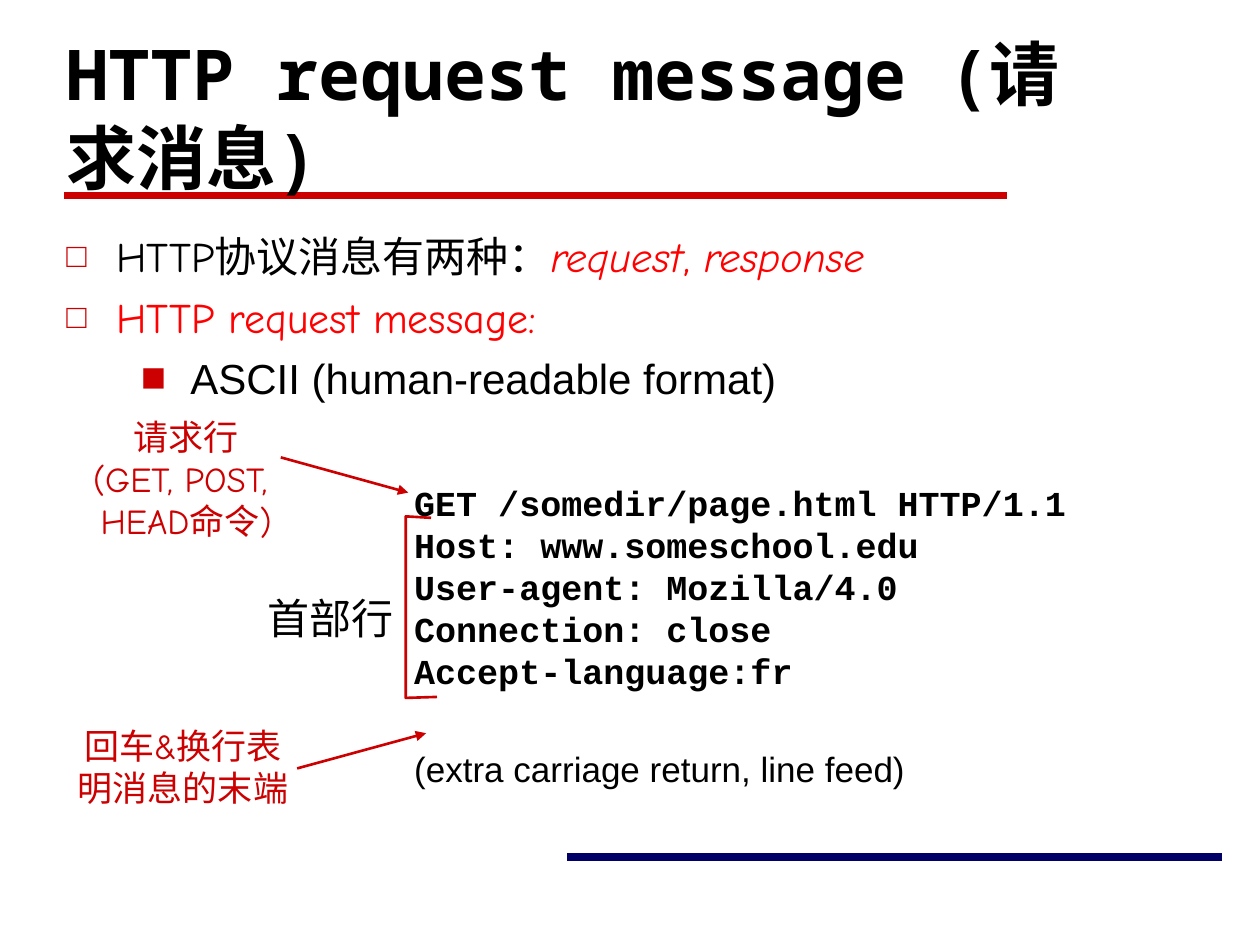
from dataclasses import dataclass, field

from lxml import etree
from pptx import Presentation
from pptx.dml.color import RGBColor
from pptx.enum.shapes import MSO_CONNECTOR
from pptx.enum.text import MSO_ANCHOR, MSO_AUTO_SIZE, PP_ALIGN
from pptx.oxml.ns import qn
from pptx.util import Cm, Pt

LINE = MSO_CONNECTOR.STRAIGHT
MID, TOP = MSO_ANCHOR.MIDDLE, MSO_ANCHOR.TOP
GROW, FIXED = MSO_AUTO_SIZE.SHAPE_TO_FIT_TEXT, MSO_AUTO_SIZE.NONE
LEFT, MIDST, RIGHT = PP_ALIGN.LEFT, PP_ALIGN.CENTER, PP_ALIGN.RIGHT
RED, NAVY, BLACK, BRIGHT = "CC0000", "000066", "000000", "FF0000"
COMIC, ARIAL, TIMES = "Comic Neue", "Arial", "Times New Roman"
LEAD = 1.2


@dataclass
class Run:
    text: str
    font: str = COMIC
    size: int = 20
    color: str = BLACK
    look: dict = field(default_factory=dict)


@dataclass
class Para:
    runs: list[Run]
    align: int = LEFT
    before: float = 0
    mark: str = ""
    scale: int = 100
    level: int = 0
    indent: float = 0


@dataclass
class Box:
    place: tuple[float, float, float, float]
    paras: list[Para]
    wrap: bool = True
    fit: int = GROW
    anchor: int = TOP


@dataclass
class Stroke:
    start: tuple[float, float]
    end: tuple[float, float]
    color: str = RED
    width: float = 1.5
    arrow: bool = False


def paint(color: str) -> RGBColor:
    return RGBColor.from_string(color)


def apply(target, values: dict) -> None:
    for name, value in values.items():
        setattr(target, name, value)


def add_mark(para, item: Para) -> None:
    props = para._p.get_or_add_pPr()
    props.set("marL", str(Cm(item.indent)))
    props.set("indent", str(-Cm(1)))
    tint = etree.SubElement(props, qn("a:buClr"))
    etree.SubElement(tint, qn("a:srgbClr"), val=RED)
    etree.SubElement(props, qn("a:buSzPct"), val=str(item.scale * 1000))
    etree.SubElement(props, qn("a:buFont"), typeface=ARIAL)
    etree.SubElement(props, qn("a:buChar"), char=item.mark)


def add_box(slide, box: Box) -> None:
    frame = slide.shapes.add_textbox(*map(Cm, box.place)).text_frame
    apply(frame, {"word_wrap": box.wrap, "auto_size": box.fit,
                  "vertical_anchor": box.anchor})
    for spot, item in enumerate(box.paras):
        para = frame.add_paragraph() if spot else frame.paragraphs[0]
        if item.mark:
            add_mark(para, item)
        apply(para, {"alignment": item.align, "level": item.level,
                     "space_before": Pt(item.before),
                     "line_spacing": Pt(LEAD * item.runs[0].size)})
        for part in item.runs:
            run = para.add_run()
            run.text = part.text
            apply(run.font, {"name": part.font, "size": Pt(part.size), **part.look})
            run.font.color.rgb = paint(part.color)


def add_stroke(slide, item: Stroke) -> None:
    line = slide.shapes.add_connector(LINE, *map(Cm, item.start + item.end))
    line.line.width = Pt(item.width)
    line.line.color.rgb = paint(item.color)
    if item.arrow:
        etree.SubElement(line.line._get_or_add_ln(), qn("a:tailEnd"), type="triangle")
    etree.SubElement(line._element.spPr, qn("a:effectLst"))


def add_brace(slide, points: list[tuple[float, float]]) -> None:
    first, *rest = [(Cm(x), Cm(y)) for x, y in points]
    maker = slide.shapes.build_freeform(*first)
    maker.add_line_segments(rest, close=False)
    brace = maker.convert_to_shape()
    brace.shadow.inherit = False
    brace.fill.background()
    brace.line.width = Pt(1.5)
    brace.line.color.rgb = paint(RED)


BOLD, SLANT = {"bold": True}, {"italic": True}
TITLE = Run("HTTP request message (请求消息)", "Noto Sans Mono", 40, look=BOLD)
KINDS = [Run("HTTP协议消息有两种：", size=24), Run("request", COMIC, 24, BRIGHT, SLANT),
         Run(", ", COMIC, 24, BRIGHT), Run("response", COMIC, 24, BRIGHT, SLANT)]
BODY = [
    Para(KINDS, mark="□", scale=80, indent=1),
    Para([Run("HTTP request message:", COMIC, 24, BRIGHT)],
         before=6, mark="□", scale=80, indent=1),
    Para([Run("ASCII (human-readable format)", ARIAL, 24)],
         before=6, mark="■", level=1, indent=2.5),
]
CODE = ["GET /somedir/page.html HTTP/1.1", "Host: www.someschool.edu",
        "User-agent: Mozilla/4.0", "Connection: close", "Accept-language:fr"]
ORDER = [Para([Run(text, "Courier New", look=BOLD)]) for text in CODE]
ORDER.append(Para([Run("(extra carriage return, line feed)", ARIAL)], before=32))
VERBS = [Para([Run(text, color=RED)], MIDST)
         for text in ("请求行", "(GET, POST, ", "HEAD命令)")]
HEADS = [Para([Run("首部行", TIMES, 24)], RIGHT)]
CLOSE = [Para([Run("回车&换行表明消息的末端", color=RED)], MIDST)]

BOXES = [
    Box((1.09, 1.12, 20.9, 2.39), [Para([TITLE])], fit=FIXED, anchor=MID),
    Box((1.09, 4.52, 23.22, 12.19), BODY, fit=FIXED),
    Box((8.1, 9.58, 13.67, 6.53), ORDER, wrap=False),
    Box((1.57, 8.26, 4.37, 2.79), VERBS, wrap=False),
    Box((5.13, 11.81, 3.05, 1.27), HEADS, wrap=False),
    Box((1.24, 14.48, 4.9, 1.96), CLOSE),
]
STROKES = [
    Stroke((1.3, 3.94), (20.3, 3.94), width=4.5),
    Stroke((11.43, 17.27), (24.64, 17.27), NAVY, 4.5),
    Stroke((5.66, 9.22), (8.23, 9.93), arrow=True),
    Stroke((5.99, 15.49), (8.59, 14.78), arrow=True),
]
BRACE = [(8.69, 10.44), (8.18, 10.41), (8.18, 14.07), (8.81, 14.05)]


def main() -> None:
    deck = Presentation()
    apply(deck, {"slide_width": Cm(25.4), "slide_height": Cm(19.05)})
    slide = deck.slides.add_slide(deck.slide_layouts[6])
    for item in STROKES:
        add_stroke(slide, item)
    for box in BOXES:
        add_box(slide, box)
    add_brace(slide, BRACE)
    deck.save("out.pptx")


if __name__ == "__main__":
    main()
